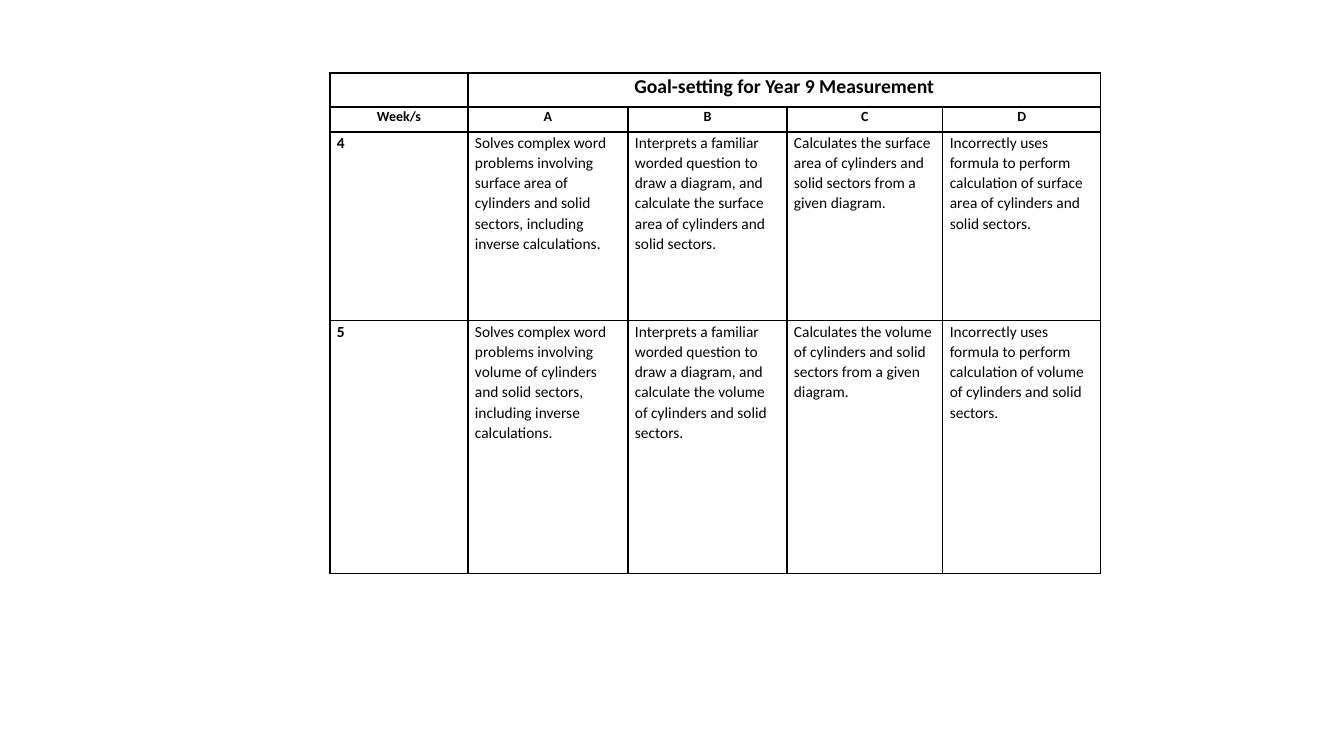
from lxml.etree import SubElement
from pptx import Presentation
from pptx.dml.color import RGBColor
from pptx.enum.text import PP_ALIGN as Align
from pptx.oxml.ns import qn
from pptx.util import Emu, Pt

BLACK = RGBColor(0, 0, 0)
WHITE = RGBColor(255, 255, 255)
PX = 914400 / 100.8


def px(length):
    return Emu(round(length * PX))


class SlideBuilder:
    font_name = "Calibri"
    line_spacing = 1.07
    side_margin = 7
    border_width = 1

    def __init__(self, presentation):
        self.slide = presentation.slides.add_slide(presentation.slide_layouts[6])

    def table(self, left, top, widths, heights):
        frame = self.slide.shapes.add_table(
            len(heights), len(widths), px(left), px(top),
            px(sum(widths)), px(sum(heights)))
        table = frame.table
        table.first_row = table.horz_banding = False
        for column, width in zip(table.columns, widths):
            column.width = px(width)
        for row, height in zip(table.rows, heights):
            row.height = px(height)
        for cell in table.iter_cells():
            self.format_cell(cell)
        return table

    def format_cell(self, cell):
        cell.margin_left = cell.margin_right = px(self.side_margin)
        cell.margin_top = cell.margin_bottom = 0
        properties = cell._tc.get_or_add_tcPr()
        for side in ("a:lnL", "a:lnR", "a:lnT", "a:lnB"):
            line = SubElement(properties, qn(side), w=str(Pt(self.border_width)))
            fill = SubElement(line, qn("a:solidFill"))
            SubElement(fill, qn("a:srgbClr"), val=str(BLACK))
        cell.fill.solid()
        cell.fill.fore_color.rgb = WHITE

    def cell_text(self, cell, text, size, bold=False, align=Align.LEFT):
        cell.text = text
        paragraph = cell.text_frame.paragraphs[0]
        paragraph.alignment = align
        paragraph.line_spacing = self.line_spacing
        font = paragraph.font
        font.name = self.font_name
        font.size = Pt(size)
        font.bold = bold
        font.color.rgb = BLACK


TITLE = "Goal-setting for Year 9 Measurement"
HEADINGS = ["Week/s", "A", "B", "C", "D"]
WEEKS = [
    ["4",
     "Solves complex word problems involving surface area of cylinders and "
     "solid sectors, including inverse calculations.",
     "Interprets a familiar worded question to draw a diagram, and calculate "
     "the surface area of cylinders and solid sectors.",
     "Calculates the surface area of cylinders and solid sectors from a given "
     "diagram.",
     "Incorrectly uses formula to perform calculation of surface area of "
     "cylinders and solid sectors."],
    ["5",
     "Solves complex word problems involving volume of cylinders and solid "
     "sectors, including inverse calculations.",
     "Interprets a familiar worded question to draw a diagram, and calculate "
     "the volume of cylinders and solid sectors.",
     "Calculates the volume of cylinders and solid sectors from a given "
     "diagram.",
     "Incorrectly uses formula to perform calculation of volume of cylinders "
     "and solid sectors."],
]


def main():
    presentation = Presentation()
    presentation.slide_width = px(1344)
    presentation.slide_height = px(756)
    builder = SlideBuilder(presentation)

    # Goal table
    table = builder.table(330, 73, widths=[138, 160, 159, 156, 158],
                          heights=[34, 25, 189, 253])

    # Title and column headings
    table.cell(0, 1).merge(table.cell(0, 4))
    builder.cell_text(table.cell(0, 1), TITLE, 14, bold=True, align=Align.CENTER)
    for column, heading in enumerate(HEADINGS):
        builder.cell_text(table.cell(1, column), heading, 10, bold=True,
                          align=Align.CENTER)

    # One row of goals per week
    for row, goals in enumerate(WEEKS, start=2):
        for column, goal in enumerate(goals):
            builder.cell_text(table.cell(row, column), goal, 11,
                              bold=column == 0)

    presentation.save("out.pptx")


if __name__ == "__main__":
    main()
